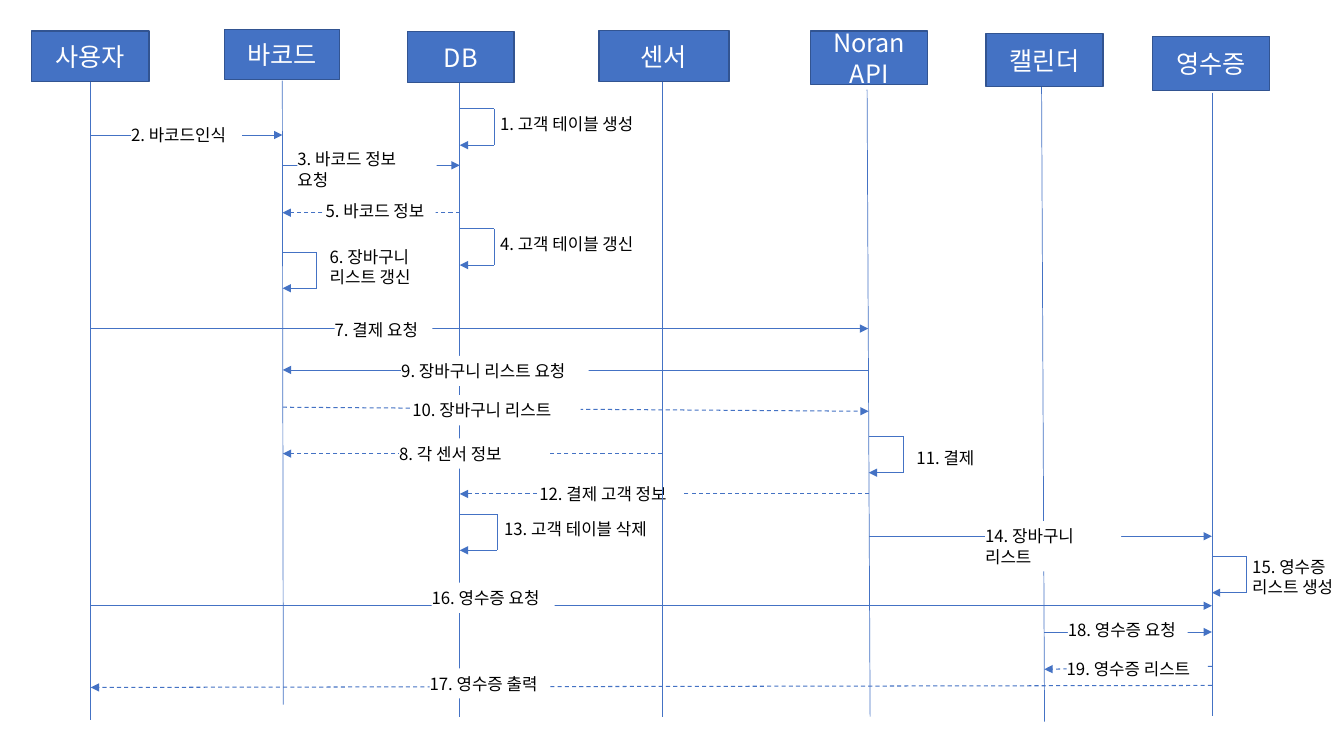
from pptx import Presentation
from pptx.dml.color import RGBColor
from pptx.enum.dml import MSO_LINE
from pptx.enum.shapes import MSO_CONNECTOR, MSO_SHAPE
from pptx.enum.text import MSO_ANCHOR, PP_ALIGN
from pptx.oxml.ns import qn
from pptx.util import Inches, Pt
from lxml.etree import SubElement


def color(hex_code):
    return RGBColor.from_string(hex_code)


def write(frame, text, size, hex_code, font, align=PP_ALIGN.LEFT,
          anchor=MSO_ANCHOR.TOP, side=0.0):
    """Fill a text frame; each line of text becomes a paragraph."""
    frame.word_wrap = True
    frame.vertical_anchor = anchor
    frame.margin_left = frame.margin_right = Inches(side)
    frame.margin_top = frame.margin_bottom = Inches(0.05)
    frame.text = text
    for paragraph in frame.paragraphs:
        paragraph.alignment = align
        for run in paragraph.runs:
            run.font.size = Pt(size)
            run.font.name = font
            run.font.color.rgb = color(hex_code)
            SubElement(run.font._element, qn("a:ea")).set("typeface", font)


class SequenceDiagram:
    FONT = "Noto Sans CJK KR"
    BLUE, BORDER, WHITE, BLACK = "4472C4", "325491", "FFFFFF", "000000"

    def __init__(self, slide, participants):
        self.slide = slide
        self.participants = participants

    def x_at(self, name, y):
        """Horizontal place of a lifeline at height y."""
        x1, y1, x2, y2 = self.participants[name][1]
        return x1 + (x2 - x1) * (y - y1) / (y2 - y1)

    def line(self, x1, y1, x2, y2, arrow=False, dashed=False):
        connector = self.slide.shapes.add_connector(
            MSO_CONNECTOR.STRAIGHT, *map(Inches, (x1, y1, x2, y2)))
        connector.line.color.rgb = color(self.BLUE)
        connector.line.width = Pt(0.75 if dashed else 0.5)
        if dashed:
            connector.line.dash_style = MSO_LINE.DASH
        if arrow:
            SubElement(connector.line._get_or_add_ln(),
                       qn("a:tailEnd")).set("type", "triangle")
        SubElement(connector._element.spPr, qn("a:effectLst"))

    def box(self, bounds, fill, border=None):
        shape = self.slide.shapes.add_shape(
            MSO_SHAPE.RECTANGLE, *map(Inches, bounds))
        shape.shadow.inherit = False
        shape.fill.solid()
        shape.fill.fore_color.rgb = color(fill)
        if border:
            shape.line.color.rgb = color(border)
            shape.line.width = Pt(1)
        else:
            shape.line.fill.background()
        return shape.text_frame

    def label(self, text, left, top, width, height=0.3):
        write(self.box((left, top, width, height), self.WHITE),
              text, 12, self.BLACK, self.FONT)

    def participant(self, name):
        bounds, lifeline = self.participants[name]
        self.line(*lifeline)
        write(self.box(bounds, self.BLUE, self.BORDER), name, 18, self.WHITE,
              self.FONT, PP_ALIGN.CENTER, MSO_ANCHOR.MIDDLE, side=0.1)

    def message(self, sender, receiver, y, label, dashed=False, drop=0.0):
        self.line(self.x_at(sender, y), y, self.x_at(receiver, y + drop),
                  y + drop, arrow=True, dashed=dashed)
        self.label(*label)

    def self_call(self, name, y, label, reach=0.34):
        x, bottom = self.x_at(name, y), y + 0.36
        self.line(x, y, x + reach, y)
        self.line(x + reach, y, x + reach, bottom)
        self.line(x + reach, bottom, x, bottom, arrow=True)
        self.label(*label)


USER, BARCODE, DB, SENSOR = "사용자", "바코드", "DB", "센서"
PAY_API, CALENDAR, RECEIPT = "Noran API", "캘린더", "영수증"

# Header box (left, top, width, height) and lifeline (x1, y1, x2, y2)
PARTICIPANTS = {
    USER: ((0.31, 0.31, 1.17, 0.5), (0.9, 0.81, 0.9, 7.14)),
    BARCODE: ((2.23, 0.29, 1.14, 0.5), (2.8, 0.8, 2.81, 6.99)),
    DB: ((4.04, 0.31, 1.06, 0.51), (4.56, 0.8, 4.56, 7.11)),
    SENSOR: ((5.94, 0.3, 1.29, 0.51), (6.57, 0.79, 6.57, 7.11)),
    PAY_API: ((8.04, 0.31, 1.16, 0.53), (8.6, 0.89, 8.63, 7.11)),
    CALENDAR: ((9.78, 0.33, 1.16, 0.53), (10.33, 0.75, 10.36, 7.16)),
    RECEIPT: ((11.43, 0.36, 1.16, 0.54), (12.02, 0.92, 12.02, 7.1)),
}

# Participant, height, label (text, left, top, width, height), reach
SELF_CALLS = [
    (DB, 1.08, ("1. 고객 테이블 생성", 4.96, 1.08, 1.5)),
    (DB, 2.27, ("4. 고객 테이블 갱신", 4.96, 2.27, 1.5)),
    (BARCODE, 2.5, ("6. 장바구니 리스트 갱신", 3.27, 2.4, 1.03, 0.5)),
    (PAY_API, 4.33, ("11. 결제", 9.09, 4.39, 0.97)),
    (DB, 5.1, ("13. 고객 테이블 삭제", 5, 5.1, 1.65), 0.37),
    (RECEIPT, 5.52, ("15. 영수증 리스트 생성", 12.42, 5.47, 0.93, 0.5)),
]

# Sender, receiver, height, label, dashed, drop
PAID_CUSTOMER = (PAY_API, DB, 4.9, ("12. 결제 고객 정보", 5.35, 4.75, 1.43), True)
MESSAGES = [
    (USER, BARCODE, 1.34, ("2. 바코드인식", 1.3, 1.19, 1.1)),
    (BARCODE, DB, 1.64, ("3. 바코드 정보\n요청", 2.95, 1.43, 1.38, 0.5)),
    (DB, BARCODE, 2.11, ("5. 바코드 정보", 3.23, 1.94, 1.09), True),
    (USER, PAY_API, 3.26, ("7. 결제 요청", 3.32, 3.12, 0.97)),
    (SENSOR, BARCODE, 4.5, ("8. 각 센서 정보", 3.96, 4.35, 1.47), True),
    (PAY_API, BARCODE, 3.67, ("9. 장바구니 리스트 요청", 3.98, 3.53, 1.86)),
    (BARCODE, PAY_API, 4.04, ("10. 장바구니 리스트", 4.09, 3.92, 1.67), True, 0.04),
    (PAY_API, RECEIPT, 5.32, ("14. 장바구니 리스트", 9.77, 5.17, 1.35, 0.5)),
    (USER, RECEIPT, 6.01, ("16. 영수증 요청", 4.28, 5.78, 1.22)),
    (RECEIPT, USER, 6.8, ("17. 영수증 출력", 4.26, 6.63, 1.19), True, 0.02),
    (CALENDAR, RECEIPT, 6.27, ("18. 영수증 요청", 10.59, 6.1, 1.19)),
    (RECEIPT, CALENDAR, 6.61, ("19. 영수증 리스트", 10.58, 6.49, 1.37), True, 0.03),
]

presentation = Presentation()
presentation.slide_width = Inches(13.33)
presentation.slide_height = Inches(7.5)
blank_layout = presentation.slide_layouts[6]
diagram = SequenceDiagram(presentation.slides.add_slide(blank_layout), PARTICIPANTS)

# Labels that the lifelines run over
for call in SELF_CALLS:
    diagram.self_call(*call)
diagram.message(*PAID_CUSTOMER)

# Participants with their lifelines
for name in PARTICIPANTS:
    diagram.participant(name)

# Messages whose labels interrupt the lifelines
for message in MESSAGES:
    diagram.message(*message)

presentation.save("out.pptx")
